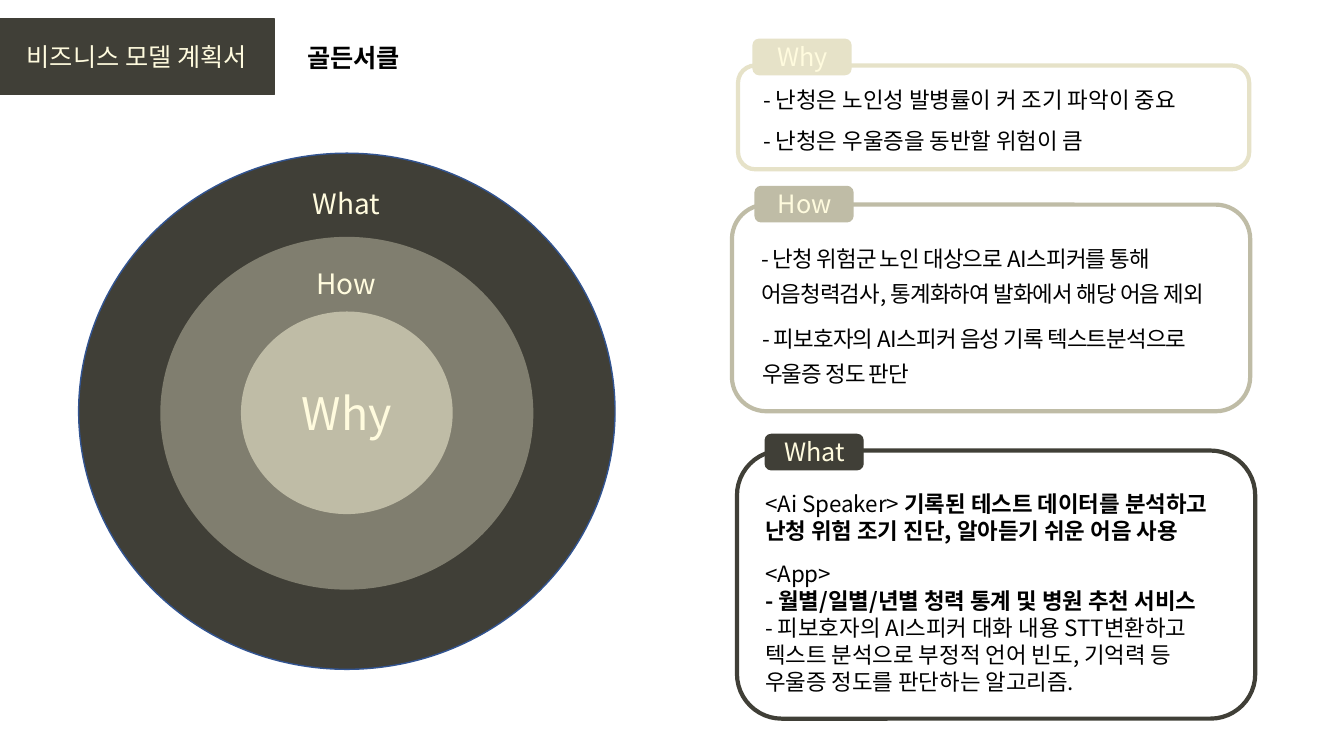
from lxml import etree
from pptx import Presentation
from pptx.dml.color import RGBColor
from pptx.enum.shapes import MSO_SHAPE
from pptx.enum.text import MSO_ANCHOR, PP_ALIGN
from pptx.oxml.ns import qn
from pptx.util import Inches, Pt

RECT, OVAL, ROUND = MSO_SHAPE.RECTANGLE, MSO_SHAPE.OVAL, MSO_SHAPE.ROUNDED_RECTANGLE
LEFT, CENTER, JUSTIFY = PP_ALIGN.LEFT, PP_ALIGN.CENTER, PP_ALIGN.JUSTIFY
MIDDLE, TOP = MSO_ANCHOR.MIDDLE, MSO_ANCHOR.TOP

FONT = "Noto Sans CJK KR"
DARK, OLIVE, SAND, PALE = "403F37", "807E6F", "BFBCA6", "E6E2C8"
CREAM, BLACK, BLUE = "FFFBDE", "000000", "325491"


def rgb(value):
    return RGBColor.from_string(value)


def add_run(p, text, size=16, color=BLACK, bold=False, spacing=0):
    r = p.add_run()
    r.text = text
    r.font.name, r.font.size, r.font.bold = FONT, Pt(size), bold
    r.font.color.rgb = rgb(color)
    rPr = r._r.get_or_add_rPr()
    etree.SubElement(rPr, qn("a:ea")).set("typeface", FONT)
    if spacing:
        rPr.set("spc", str(round(spacing * 100)))


class Slide:
    def __init__(self, prs):
        self.shapes = prs.slides.add_slide(prs.slide_layouts[6]).shapes

    def shape(self, kind, x, y, w, h, fill=None, line=None, width=1):
        sp = self.shapes.add_shape(kind, Inches(x), Inches(y), Inches(w), Inches(h))
        sp.shadow.inherit = False
        if fill:
            sp.fill.solid()
            sp.fill.fore_color.rgb = rgb(fill)
        else:
            sp.fill.background()
        if line:
            sp.line.color.rgb = rgb(line)
            sp.line.width = Pt(width)
        else:
            sp.line.fill.background()
        return sp

    def fill_text(self, sp, paragraphs, align=LEFT, anchor=TOP, leading=None, **style):
        """Each paragraph is a list of (text, bold) runs."""
        tf = sp.text_frame
        tf.word_wrap, tf.vertical_anchor = True, anchor
        for i, runs in enumerate(paragraphs):
            p = tf.add_paragraph() if i else tf.paragraphs[0]
            p.alignment = align
            if leading:
                p.line_spacing = leading
            for text, bold in runs:
                add_run(p, text, bold=bold, **style)

    def text(self, x, y, w, h, paragraphs, **style):
        sp = self.shapes.add_textbox(Inches(x), Inches(y), Inches(w), Inches(h))
        self.fill_text(sp, paragraphs, **style)

    def label(self, x, y, w, h, text, size):
        self.text(x, y, w, h, [[(text, False)]], align=CENTER, size=size, color=CREAM)

    def panel(self, box, tab_x, tab_y, name, color):
        self.shape(ROUND, *box, line=color, width=3)
        self.shape(ROUND, tab_x, tab_y, 0.97, 0.35, fill=color, line=color)
        self.label(tab_x + 0.06, tab_y - 0.03, 0.86, 0.4, name, 18)


def main():
    prs = Presentation()
    prs.slide_width, prs.slide_height = Inches(13.33), Inches(7.5)
    s = Slide(prs)

    # Heading
    s.text(2.95, 0.37, 2.32, 0.4, [[("골든서클", True)]], size=18)
    s.shape(RECT, 0, 0.19, 2.72, 0.75, fill=DARK, line=DARK)
    s.label(0.03, 0.36, 2.65, 0.4, "비즈니스 모델 계획서", 18)

    # Golden circle
    s.shape(OVAL, 0.78, 1.52, 5.32, 5.12, fill=DARK, line=BLUE)
    s.shape(OVAL, 1.59, 2.35, 3.7, 3.5, fill=OLIVE)
    core = s.shape(OVAL, 2.39, 3.09, 2.1, 2.01, fill=SAND)
    s.fill_text(core, [[("Why", False)]], align=CENTER, anchor=MIDDLE, size=32, color=CREAM)
    for y, name in ((2.59, "How"), (1.8, "What")):
        s.label(2.93, y, 1.01, 0.37, name, 20)

    # Why panel
    s.panel((7.32, 0.65, 5.07, 1.03), 7.47, 0.39, "Why", PALE)
    for y, reason in ((0.81, "- 난청은 노인성 발병률이 커 조기 파악이 중요"),
                      (1.21, "- 난청은 우울증을 동반할 위험이 큼")):
        s.text(7.47, y, 4.82, 0.37, [[(reason, False)]])

    # How panel
    s.panel((7.26, 2.03, 5.14, 2.05), 7.49, 1.85, "How", SAND)
    methods = (
        (7.45, 2.3, "- 난청 위험군 노인 대상으로 AI스피커를 통해",
         "어음청력검사, 통계화하여 발화에서 해당 어음 제외"),
        (7.46, 3.1, "- 피보호자의 AI스피커 음성 기록 텍스트분석으로", "우울증 정도 판단"),
    )
    for x, y, *lines in methods:
        s.text(x, y, 4.93, 0.78, [[(line, False)] for line in lines],
               align=JUSTIFY, leading=1.3, spacing=-0.6)

    # What panel
    s.panel((7.31, 4.47, 5.14, 2.66), 7.59, 4.31, "What", DARK)
    s.text(7.49, 4.81, 4.73, 0.64, [[
        ("<Ai Speaker> ", False),
        ("기록된 테스트 데이터를 분석하고 난청 위험 조기 진단, 알아듣기 쉬운 어음 사용", True),
    ]])
    s.text(7.49, 5.51, 4.91, 1.45, [
        [("<App>", False)],
        [("- 월별/일별/년별 청력 통계 및 병원 추천 서비스", True)],
        [("- 피보호자의 AI스피커 대화 내용 STT변환하고", False)],
        [("텍스트 분석으로 부정적 언어 빈도, 기억력 등", False)],
        [("우울증 정도를 판단하는 알고리즘.", False)],
    ])

    prs.save("out.pptx")


if __name__ == "__main__":
    main()
